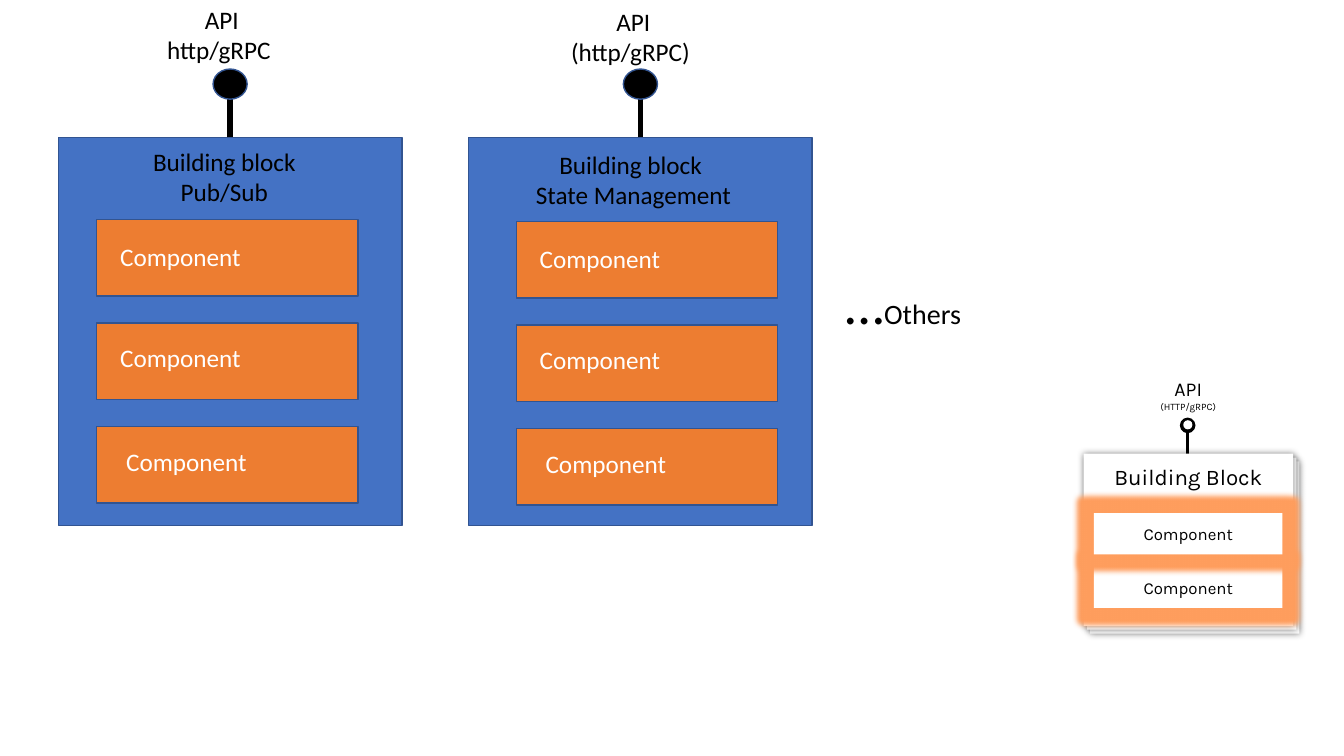
from lxml import etree
from pptx import Presentation
from pptx.dml.color import RGBColor
from pptx.enum.shapes import MSO_CONNECTOR as Connector, MSO_SHAPE as Shape
from pptx.enum.text import MSO_ANCHOR as Anchor, MSO_AUTO_SIZE as AutoSize, PP_ALIGN as Align
from pptx.oxml.ns import qn
from pptx.util import Cm, Pt

BLUE, ORANGE, EDGE = "4472C4", "ED7D31", "325491"
BLACK, WHITE, GLOW = "000000", "FFFFFF", "FF9E5E"


def color(value):
    return RGBColor.from_string(value)


def add_effect(shape, kind, value, alpha, **attributes):
    """Add a glow or an outer shadow to a shape."""
    properties = shape._element.spPr
    for old in properties.findall(qn("a:effectLst")):
        properties.remove(old)
    effects = etree.SubElement(properties, qn("a:effectLst"))
    effect = etree.SubElement(effects, qn("a:" + kind), **attributes)
    tint = etree.SubElement(effect, qn("a:srgbClr"), val=value)
    etree.SubElement(tint, qn("a:alpha"), val=str(alpha * 1000))


def add_box(slide, kind, left, top, width, height, fill, edge=None):
    shape = slide.shapes.add_shape(kind, Cm(left), Cm(top), Cm(width), Cm(height))
    shape.shadow.inherit = False
    shape.fill.solid()
    shape.fill.fore_color.rgb = color(fill)
    if edge:
        shape.line.color.rgb = color(edge)
        shape.line.width = Pt(1)
    else:
        shape.line.fill.background()
    return shape


def add_stem(slide, x, bottom, top, weight):
    stem = slide.shapes.add_connector(
        Connector.STRAIGHT, Cm(x), Cm(bottom), Cm(x), Cm(top))
    stem.line.color.rgb = color(BLACK)
    stem.line.width = Pt(weight)
    etree.SubElement(stem._element.spPr, qn("a:effectLst"))
    return stem


def write(frame, lines, font="Calibri", ink=BLACK, align=Align.CENTER):
    """Fill a frame; each line is a list of (text, size) runs."""
    for index, runs in enumerate(lines):
        paragraph = frame.add_paragraph() if index else frame.paragraphs[0]
        paragraph.alignment = align
        for text, size in runs:
            run = paragraph.add_run()
            run.text = text
            run.font.size = Pt(size)
            run.font.name = font
            run.font.color.rgb = color(ink)


def add_label(slide, left, top, width, height, lines, wrap=True, **style):
    box = slide.shapes.add_textbox(Cm(left), Cm(top), Cm(width), Cm(height))
    box.text_frame.word_wrap = wrap
    box.text_frame.auto_size = AutoSize.SHAPE_TO_FIT_TEXT
    write(box.text_frame, lines, **style)


def add_building_block(slide, left, top, heading, api, first_component):
    """Blue block with its API pin and three components."""
    width, height = 8.66, 9.78
    add_box(slide, Shape.RECTANGLE, left, top, width, height, BLUE, EDGE)

    # API pin
    center = left + width / 2
    add_stem(slide, center, top, top - 0.98, 4)
    add_box(slide, Shape.OVAL, center - 0.43, top - 1.72, 0.86, 0.76, BLACK, EDGE)

    # Heading and API label
    for (x, y, label_width), texts in (heading, api):
        add_label(slide, left + x, top + y, label_width, 1.8,
                  [[(text, 18)] for text in texts])

    # Components
    x, y = first_component
    for row, (indent, drop) in enumerate([(0.34, 0.42), (0.34, 0.37), (0.49, 0.36)]):
        row_left, row_top = left + x, top + y + row * 2.61
        add_box(slide, Shape.RECTANGLE, row_left, row_top, 6.58, 1.93, ORANGE, EDGE)
        add_label(slide, row_left + indent, row_top + drop, 7.19, 1.03,
                  [[("Component", 18)]], ink=WHITE, align=Align.LEFT)


def add_summary_card(slide, left, top):
    """Small stack of cards with an API pin and glowing components."""
    width, height = 5.28, 4.34

    # Stacked cards, the front one last
    for layer in (2, 1, 0):
        if layer == 0:
            stem = add_stem(slide, left + 2.62, top, top - 0.71, 2.25)
            etree.SubElement(stem.line._get_or_add_ln(), qn("a:tailEnd"),
                             type="oval", w="lg", len="lg")
        card = add_box(slide, Shape.RECTANGLE, left + layer * 0.08,
                       top + layer * 0.1, width, height, WHITE)
        add_effect(card, "outerShdw", BLACK, 40, blurRad=str(Pt(5)), dist="0")
    frame = card.text_frame
    frame.vertical_anchor = Anchor.TOP
    frame.margin_top = Cm(0.25)
    write(frame, [[("Building Block", 16)]], font="Karla")

    # Components, lower one first
    for row in (1, 0):
        component = add_box(slide, Shape.RECTANGLE, left + 0.26,
                            top + 1.5 + row * 1.35, 4.75, 1.04, WHITE)
        add_effect(component, "glow", GLOW, 100, rad=str(Pt(8)))
        component.text_frame.vertical_anchor = Anchor.MIDDLE
        write(component.text_frame, [[("Component", 12)]], font="Karla")

    # Pin centre and API label
    add_box(slide, Shape.OVAL, left + 2.51, top - 0.84, 0.23, 0.23, WHITE)
    add_label(slide, left + 1.63, top - 2.06, 2.01, 1.14,
              [[("API", 14)], [("(HTTP/gRPC)", 7)]], wrap=False, font="Karla")


def main():
    presentation = Presentation()
    presentation.slide_width, presentation.slide_height = Cm(33.87), Cm(19.05)
    slide = presentation.slides.add_slide(presentation.slide_layouts[6])

    # Positions are (left, top, width) inside each block
    add_building_block(
        slide, 1.47, 3.46,
        heading=((-0.36, 0.1, 9.09), ["Building block", "Pub/Sub"]),
        api=((1.35, -3.48, 5.54), ["API", "http/gRPC "]),
        first_component=(0.97, 2.07))
    add_building_block(
        slide, 11.81, 3.46,
        heading=((0.79, 0.18, 6.73), ["Building block ", "State Management"]),
        api=((2.03, -3.42, 4.24), ["API", "(http/gRPC) "]),
        first_component=(1.2, 2.12))

    add_label(slide, 21.06, 6.65, 3.56, 1.96,
              [[("…", 40), ("Others", 20)]], align=Align.LEFT)
    add_summary_card(slide, 27.31, 11.43)
    presentation.save("out.pptx")


if __name__ == "__main__":
    main()
